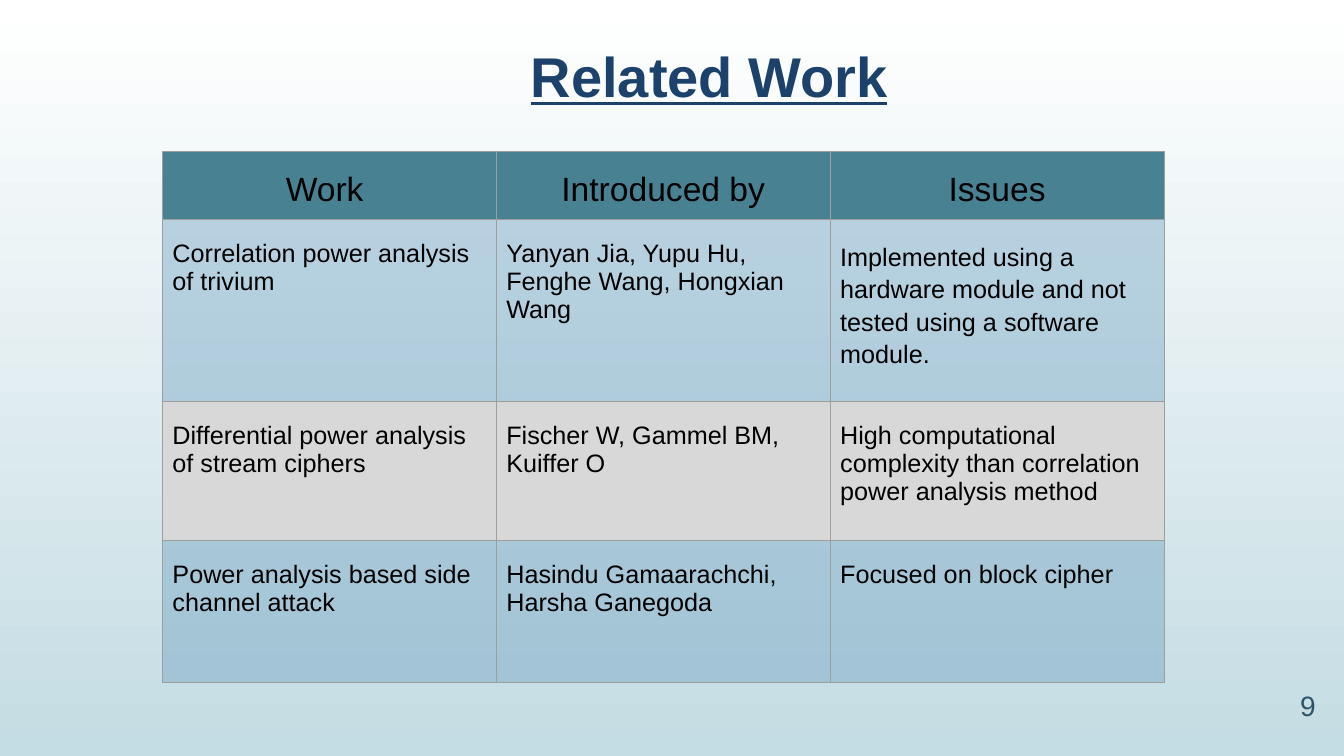
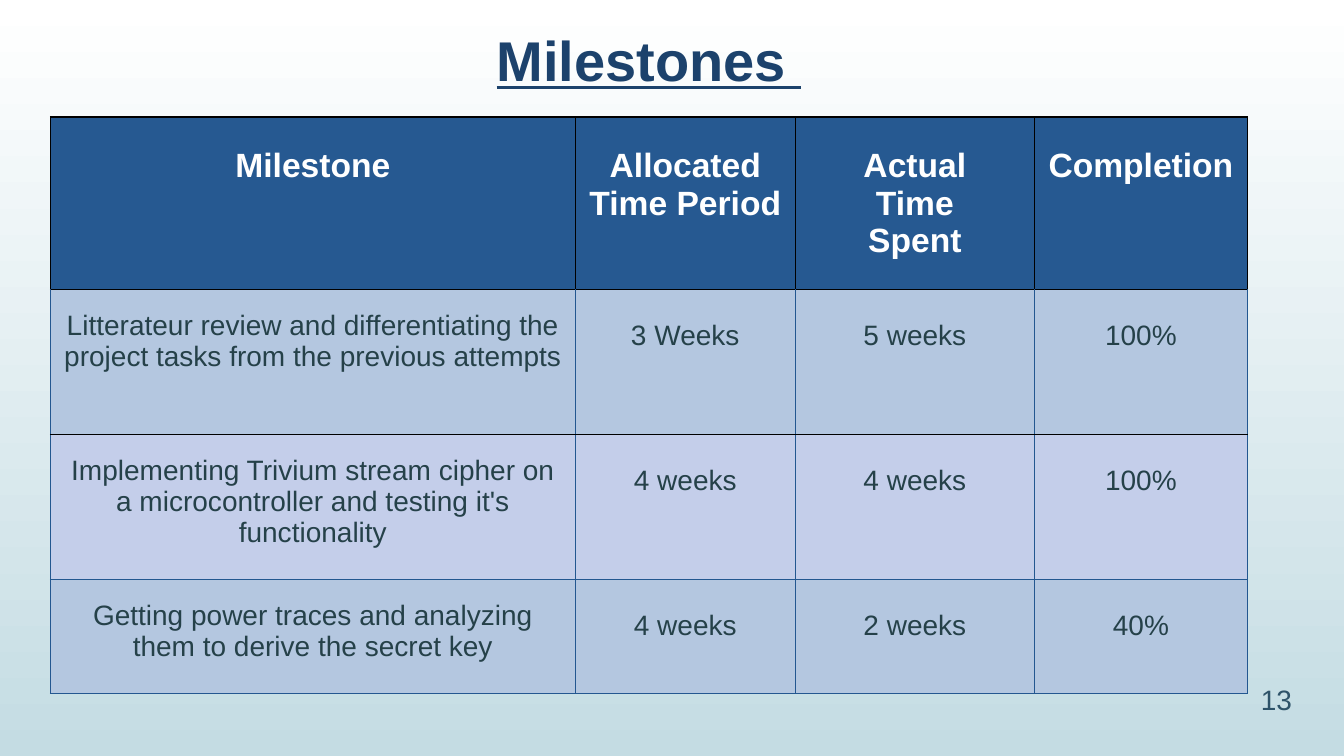
"""Build a two-slide deck with a related-work table and a milestones table."""
import dataclasses

import lxml.etree
import pptx
import pptx.dml.color
import pptx.enum.text
import pptx.oxml.ns
import pptx.util

Pt = pptx.util.Pt
qn = pptx.oxml.ns.qn
ALIGN = pptx.enum.text.PP_ALIGN
ANCHOR = pptx.enum.text.MSO_ANCHOR


@dataclasses.dataclass(frozen=True)
class Theme:
    font: str = "Arial"
    title_size: int = 40
    head_size: int = 24
    text_size: int = 20
    small_size: int = 18
    sky_top: str = "FFFFFF"
    sky_bottom: str = "C4DCE3"
    title: str = "1C426C"
    number: str = "2E5369"
    black: str = "000000"
    white: str = "FFFFFF"
    slate: str = "254149"
    teal: str = "488292"
    steel: str = "679CBE"
    grey: str = "D8D8D8"
    navy: str = "265991"
    mist: str = "B4C7E0"
    lilac: str = "C4CEEA"
    grey_line: str = "9E9E9E"
    blue_line: str = "235790"


THEME = Theme()
TRANSPARENT_STEEL = (THEME.steel, 40)
NO_TABLE_STYLE = "{2D5ABB26-0587-4C30-8999-92F81FD0307C}"


@dataclasses.dataclass(frozen=True)
class TextStyle:
    size: int
    color: str
    align: int = ALIGN.CENTER
    bold: bool = False
    underline: bool = False
    top: float = 3.6
    bottom: float = 3.6


TITLE = TextStyle(THEME.title_size, THEME.title, bold=True, underline=True)
NUMBER = TextStyle(THEME.text_size, THEME.number, ALIGN.RIGHT)
WORK_HEAD = TextStyle(THEME.head_size, THEME.black, top=14.4, bottom=0)
WORK_BODY = TextStyle(THEME.small_size, THEME.black, ALIGN.LEFT, top=14.4, bottom=0)
PLAN_HEAD = TextStyle(THEME.head_size, THEME.white, bold=True, top=21.6, bottom=18)
PLAN_TASK = TextStyle(THEME.text_size, THEME.slate, top=14.4, bottom=0)
PLAN_VALUE = TextStyle(THEME.text_size, THEME.slate, top=21.6)


def rgb(color):
    return pptx.dml.color.RGBColor.from_string(color)


def apply(obj, values):
    for name, value in values.items():
        setattr(obj, name, value)


def write(tf, text, style):
    for i, line in enumerate(text.split("\n")):
        p = tf.add_paragraph() if i else tf.paragraphs[0]
        p.alignment = style.align
        r = p.add_run()
        r.text = line
        apply(r.font, {"name": THEME.font, "size": Pt(style.size),
                       "bold": style.bold, "underline": style.underline})
        r.font.color.rgb = rgb(style.color)


def margins(obj, style):
    apply(obj, {"margin_left": Pt(7.2), "margin_right": Pt(7.2),
                "margin_top": Pt(style.top), "margin_bottom": Pt(style.bottom)})


def place(sp, left, top, width, height):
    apply(sp, {"left": Pt(left), "top": Pt(top),
               "width": Pt(width), "height": Pt(height)})


def frame_text(sp, text, style, anchor):
    tf = sp.text_frame
    apply(tf, {"word_wrap": True, "vertical_anchor": anchor,
               "auto_size": pptx.enum.text.MSO_AUTO_SIZE.NONE})
    margins(tf, style)
    write(tf, text, style)


def set_background(prs):
    fill = prs.slide_master.background.fill
    fill.gradient()
    fill.gradient_angle = 270
    for stop, position, color in zip(fill.gradient_stops, (0, 1),
                                     (THEME.sky_top, THEME.sky_bottom)):
        stop.position = position
        stop.color.rgb = rgb(color)


def add_slide(prs, title, title_box, number, number_at):
    s = prs.slides.add_slide(prs.slide_layouts[5])
    place(s.shapes.title, *title_box)
    frame_text(s.shapes.title, title, TITLE, ANCHOR.TOP)
    sp = s.shapes.add_textbox(0, 0, 0, 0)
    place(sp, *number_at, 61, 29)
    frame_text(sp, number, NUMBER, ANCHOR.MIDDLE)
    return s


def fill_cell(cell, fill):
    color, alpha = fill if isinstance(fill, tuple) else (fill, None)
    cell.fill.solid()
    cell.fill.fore_color.rgb = rgb(color)
    if alpha:
        clr = cell._tc.tcPr.find(".//" + qn("a:srgbClr"))
        lxml.etree.SubElement(clr, qn("a:alpha"), val=str(alpha * 1000))


def border_cell(cell, side, top, bottom):
    edges = (("L", side), ("R", side), ("T", top), ("B", bottom))
    for i, (name, (color, width)) in enumerate(edges):
        ln = lxml.etree.Element(qn("a:ln" + name), w=str(Pt(width)))
        solid = lxml.etree.SubElement(ln, qn("a:solidFill"))
        lxml.etree.SubElement(solid, qn("a:srgbClr"), val=color)
        cell._tc.tcPr.insert(i, ln)


def add_table(s, at, widths, heights, rows, styles, fills, sides, rules):
    head, lead, rest = styles
    frame = s.shapes.add_table(len(rows), len(widths), Pt(at[0]), Pt(at[1]),
                               Pt(sum(widths)), Pt(sum(heights)))
    table = frame.table
    frame._element.find(".//" + qn("a:tableStyleId")).text = NO_TABLE_STYLE
    for column, width in zip(table.columns, widths):
        column.width = Pt(width)
    for i, texts in enumerate(rows):
        table.rows[i].height = Pt(heights[i])
        for j, text in enumerate(texts):
            cell = table.cell(i, j)
            style = head if i == 0 else lead if j == 0 else rest
            margins(cell, style)
            write(cell.text_frame, text, style)
            fill_cell(cell, fills[i])
            border_cell(cell, sides[i], rules[i], rules[i + 1])
    return table


def related_work(prs):
    s = add_slide(prs, "Related Work", (155.5, 26, 702, 60), "9", (886, 489))
    rows = [
        ("Work ", "Introduced by", "Issues"),
        ("Correlation power analysis of trivium",
         "Yanyan Jia, Yupu Hu, Fenghe Wang, Hongxian Wang",
         "Implemented using a hardware module and not tested using a software module."),
        ("Differential power analysis of stream ciphers",
         "Fischer W, Gammel BM, Kuiffer O",
         "High computational complexity than correlation power analysis method"),
        ("Power analysis based side channel attack",
         "Hasindu Gamaarachchi, Harsha Ganegoda",
         "Focused on block cipher"),
    ]
    line = (THEME.grey_line, 0.75)
    table = add_table(
        s, (116, 108), [238.5] * 3, [48.5, 130, 99.5, 101.5], rows,
        (WORK_HEAD, WORK_BODY, WORK_BODY),
        [THEME.teal, TRANSPARENT_STEEL, THEME.grey, TRANSPARENT_STEEL],
        [line] * 4, [line] * 5)
    table.cell(1, 2).text_frame.paragraphs[0].line_spacing = 1.15


def milestones(prs):
    s = add_slide(prs, "Milestones ", (36, 14.5, 855, 60), "13", (869, 485))
    rows = [
        ("Milestone", "Allocated Time Period", "Actual\nTime\nSpent", "Completion"),
        ("Litterateur review and differentiating the project tasks "
         "from the previous attempts", "3 Weeks", "5 weeks", "100%"),
        ("Implementing Trivium stream cipher on a microcontroller "
         "and testing it's functionality", "4 weeks", "4 weeks", "100%"),
        ("Getting power traces and analyzing them to derive the secret key",
         "4 weeks", "2 weeks", "40%"),
    ]
    dark, blue = (THEME.black, 1), (THEME.blue_line, 0.75)
    add_table(
        s, (36, 83.5), [375, 157, 171, 152], [123.5, 103.5, 103.5, 81.5], rows,
        (PLAN_HEAD, PLAN_TASK, PLAN_VALUE),
        [THEME.navy, THEME.mist, THEME.lilac, THEME.mist],
        [dark] + [blue] * 3, [dark] * 3 + [blue] * 2)


def main():
    prs = pptx.Presentation()
    apply(prs, {"slide_width": Pt(960), "slide_height": Pt(540)})
    set_background(prs)
    related_work(prs)
    milestones(prs)
    prs.save("out.pptx")


if __name__ == "__main__":
    main()
